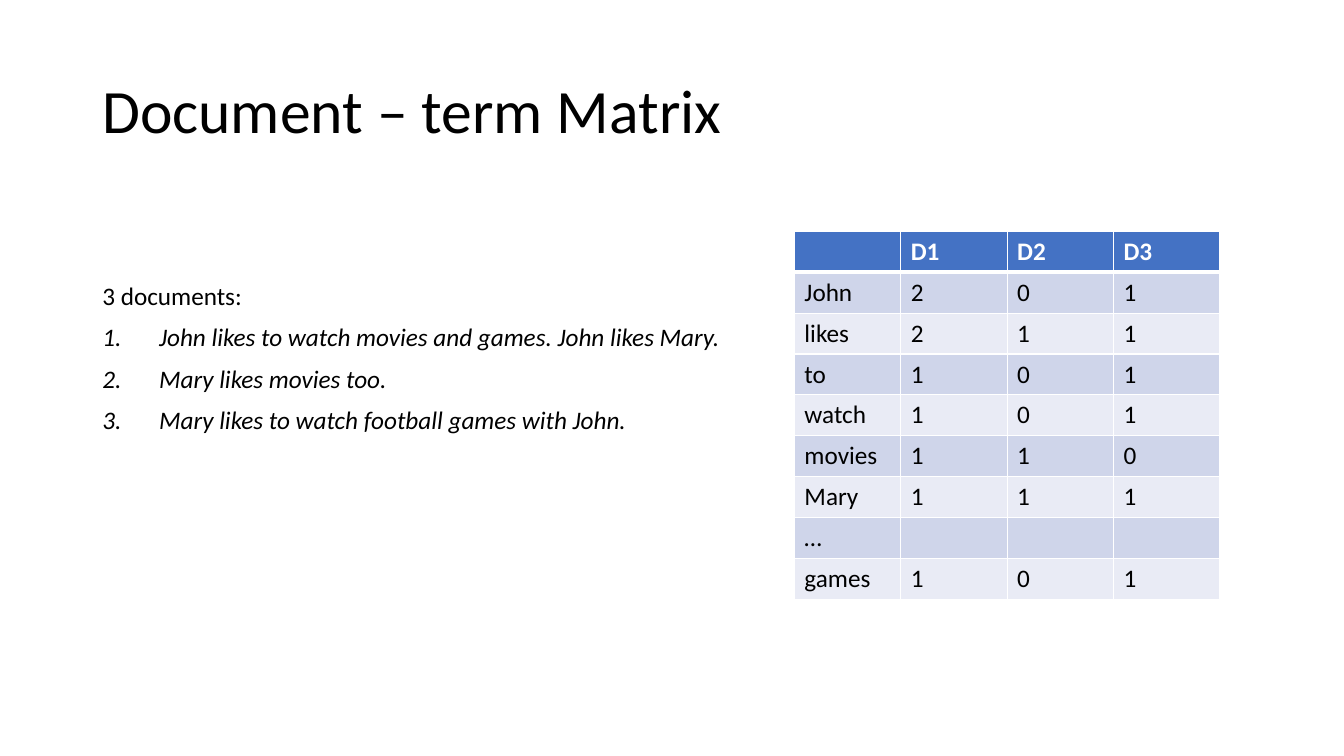
from lxml import etree
from pptx import Presentation
from pptx import util as u
from pptx.dml.color import RGBColor
from pptx.enum import text
from pptx.oxml.ns import qn

COLORS = {"text": "000000", "white": "FFFFFF", "header": "4472C4",
          "odd": "CFD5EA", "even": "E9EBF5"}


def set_font(para, size, color, bold=False, italic=False):
    para.font.name = "Calibri"
    para.font.size = u.Pt(size)
    para.font.bold = bold
    para.font.italic = italic
    para.font.color.rgb = RGBColor.from_string(COLORS[color])


def add_border(cell, side, width):
    line = etree.SubElement(cell._tc.get_or_add_tcPr(), qn(f"a:{side}"), w=str(u.Pt(width)))
    fill = etree.SubElement(line, qn("a:solidFill"))
    etree.SubElement(fill, qn("a:srgbClr"), val=COLORS["white"])


deck = Presentation()
deck.slide_width, deck.slide_height = u.Cm(33.87), u.Cm(19.05)
page = deck.slides.add_slide(deck.slide_layouts[6])

title = page.shapes.add_textbox(u.Cm(2.33), u.Cm(1.01), u.Cm(29.21), u.Cm(3.68)).text_frame
title.word_wrap = True
title.vertical_anchor = text.MSO_ANCHOR.MIDDLE
title.text = "Document – term Matrix"
title.paragraphs[0].line_spacing = 0.9
set_font(title.paragraphs[0], 44, "text")

documents = [
    "3 documents:",
    "John likes to watch movies and games. John likes Mary.",
    "Mary likes movies too.",
    "Mary likes to watch football games with John.",
]
body = page.shapes.add_textbox(u.Cm(2.33), u.Cm(7.03), u.Cm(16.56), u.Cm(5)).text_frame
body.word_wrap = True
body.text = "\n".join(documents)
for number, para in enumerate(body.paragraphs):
    para.line_spacing = 0.9
    para.space_before = u.Pt(10)
    if number:
        props = para._p.get_or_add_pPr()
        props.set("marL", str(u.Cm(1.43)))
        props.set("indent", str(-u.Cm(1.43)))
        etree.SubElement(props, qn("a:buFont"), typeface="+mj-lt")
        etree.SubElement(props, qn("a:buAutoNum"), type="arabicPeriod")
    set_font(para, 18, "text", italic=number > 0)

counts = [
    ("", "D1", "D2", "D3"),
    ("John", "2", "0", "1"),
    ("likes", "2", "1", "1"),
    ("to", "1", "0", "1"),
    ("watch", "1", "0", "1"),
    ("movies", "1", "1", "0"),
    ("Mary", "1", "1", "1"),
    ("…", "", "", ""),
    ("games", "1", "0", "1"),
]
matrix = page.shapes.add_table(len(counts), 4, u.Cm(20.02), u.Cm(5.83),
                               u.Cm(10.72), u.Cm(9.27)).table
for row, values in enumerate(counts):
    header = row == 0
    shade = "header" if header else "odd" if row % 2 else "even"
    for column, value in enumerate(values):
        cell = matrix.cell(row, column)
        cell.text = value
        set_font(cell.text_frame.paragraphs[0], 18, "white" if header else "text", bold=header)
        for side in ("lnL", "lnR", "lnT", "lnB"):
            heavy = (row, side) in ((0, "lnB"), (1, "lnT"))
            add_border(cell, side, 3 if heavy else 1)
        cell.fill.solid()
        cell.fill.fore_color.rgb = RGBColor.from_string(COLORS[shade])

deck.save("out.pptx")
